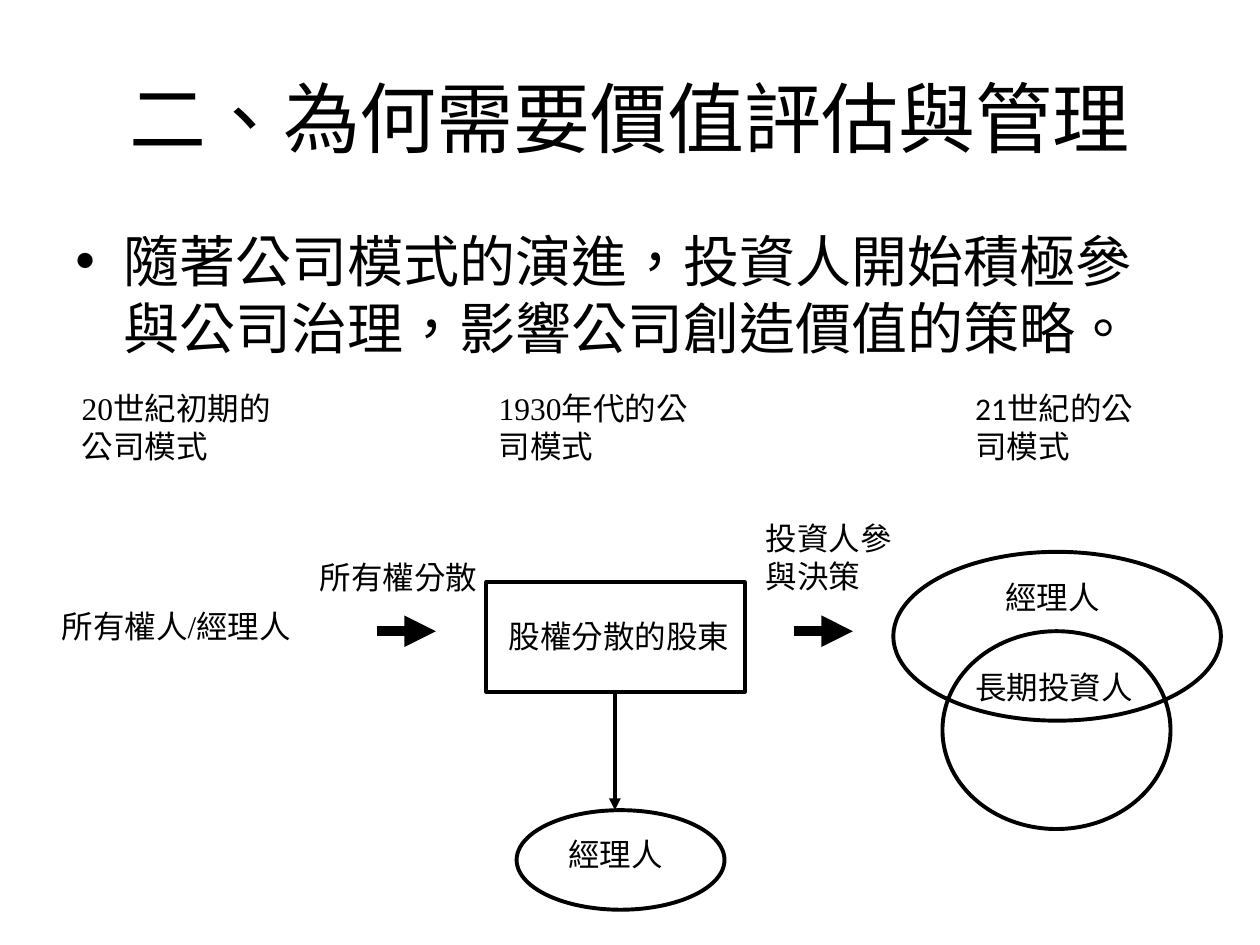
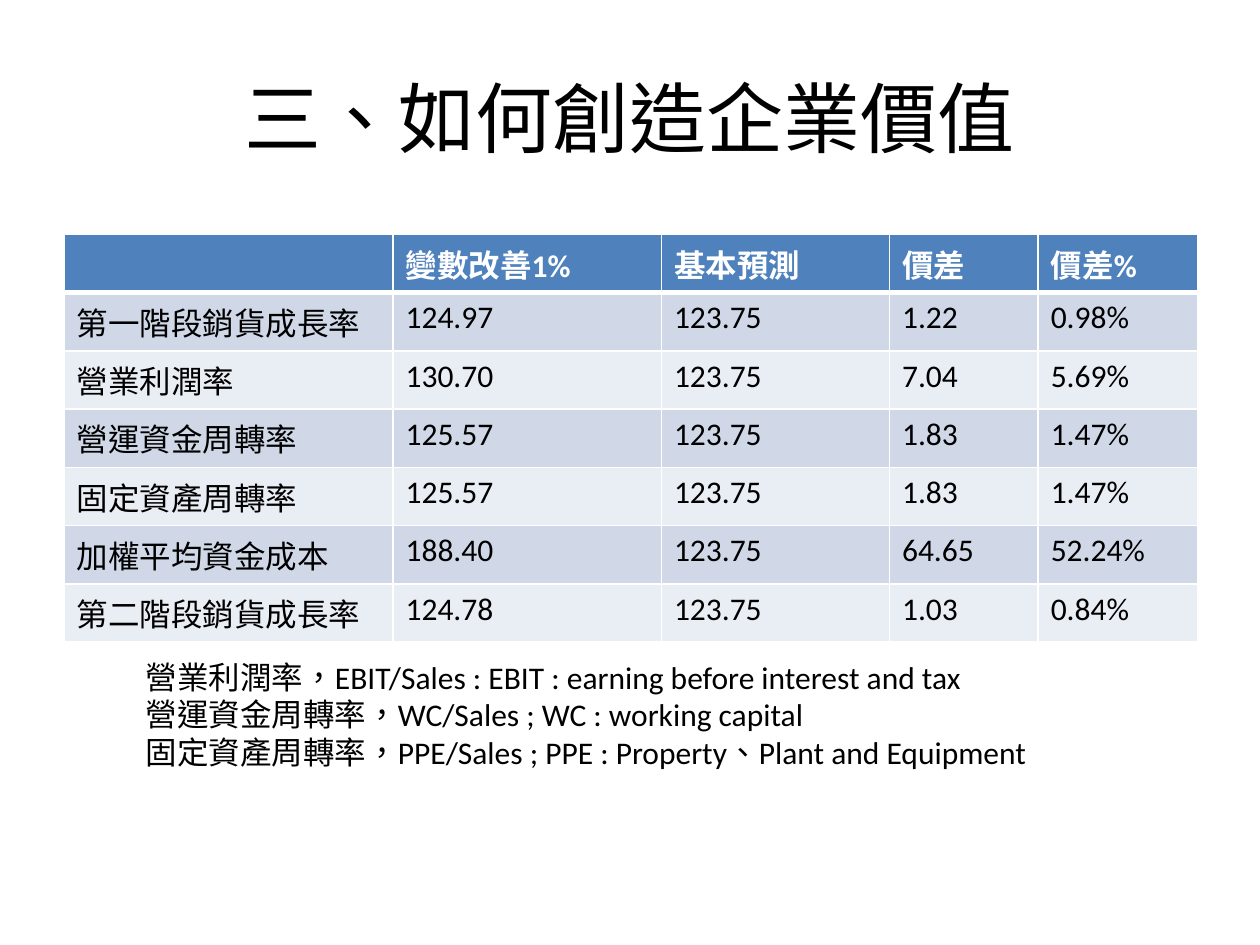
from dataclasses import dataclass
from lxml.etree import SubElement as Sub
from pptx import Presentation as Deck
from pptx.dml.color import RGBColor as Rgb
from pptx.enum.shapes import MSO_CONNECTOR as Link, MSO_SHAPE as Form
from pptx.enum.text import MSO_ANCHOR as Anchor, MSO_AUTO_SIZE as Fit, PP_ALIGN as Align
from pptx.oxml.ns import qn
from pptx.util import Inches, Pt


@dataclass(frozen=True)
class Theme:
    ink: str = "000000"
    paper: str = "FFFFFF"
    head: str = "4F81BD"
    bands: tuple = ("D0D8E8", "E9EDF4")
    sans: str = "Calibri"
    serif: str = "Times New Roman"
    title: int = 44
    body: int = 32
    text: int = 18
    thin: float = 2.25
    thick: float = 6


LOOK = Theme()
ROWS = [
    ["", "變數改善1%", "基本預測", "價差", "價差%"],
    ["第一階段銷貨成長率", "124.97", "123.75", "1.22", "0.98%"],
    ["營業利潤率", "130.70", "123.75", "7.04", "5.69%"],
    ["營運資金周轉率", "125.57", "123.75", "1.83", "1.47%"],
    ["固定資產周轉率", "125.57", "123.75", "1.83", "1.47%"],
    ["加權平均資金成本", "188.40", "123.75", "64.65", "52.24%"],
    ["第二階段銷貨成長率", "124.78", "123.75", "1.03", "0.84%"],
]
NOTES = [
    "營業利潤率，EBIT/Sales : EBIT : earning before interest and tax",
    "營運資金周轉率，WC/Sales ; WC : working capital",
    "固定資產周轉率，PPE/Sales ; PPE : Property、Plant and Equipment",
]


def tint(name):
    return Rgb.from_string(name)


def style(frame, size, face, color=LOOK.ink, bold=False):
    for para in frame.paragraphs:
        for run in para.runs:
            run._r.get_or_add_rPr().set("lang", "zh-TW")
            font = run.font
            font.size, font.name, font.bold = Pt(size), face, bold
            font.color.rgb = tint(color)


def add_text(slide, spot, words, face=LOOK.serif, size=LOOK.text, fit=Fit.SHAPE_TO_FIT_TEXT):
    frame = slide.shapes.add_textbox(*map(Inches, spot)).text_frame
    frame.word_wrap = True
    frame.auto_size = fit
    frame.text = words
    style(frame, size, face)
    return frame


def add_title(slide, words):
    frame = add_text(slide, (0.5, 0.3, 9, 1.25), words, LOOK.sans, LOOK.title, Fit.NONE)
    frame.vertical_anchor = Anchor.MIDDLE
    frame.paragraphs[0].alignment = Align.CENTER


def add_point(slide, words):
    frame = add_text(slide, (0.5, 1.75, 9, 4.95), words, LOOK.sans, LOOK.body, Fit.NONE)
    props = frame.paragraphs[0]._p.get_or_add_pPr()
    dent = Inches(0.38)
    props.set("marL", str(dent))
    props.set("indent", str(-dent))
    Sub(props, qn("a:buFont"), typeface="Arial")
    Sub(props, qn("a:buChar"), char="•")


def add_frame(slide, form, spot):
    shape = slide.shapes.add_shape(form, *map(Inches, spot))
    shape.shadow.inherit = False
    shape.fill.background()
    shape.line.color.rgb = tint(LOOK.ink)
    shape.line.width = Pt(LOOK.thin)


def add_arrow(slide, start, end, width):
    link = slide.shapes.add_connector(Link.STRAIGHT, *map(Inches, start + end))
    link.line.color.rgb = tint(LOOK.ink)
    link.line.width = Pt(width)
    Sub(link.line._get_or_add_ln(), qn("a:tailEnd"), type="triangle")
    Sub(link._element.spPr, qn("a:effectLst"))


def add_edge(cell, side, width):
    edge = Sub(cell._tc.get_or_add_tcPr(), qn("a:" + side), w=str(Pt(width)))
    Sub(Sub(edge, qn("a:solidFill")), qn("a:srgbClr"), val=LOOK.paper)


def add_grid(slide, rows, spot, wides, high):
    shape = slide.shapes.add_table(
        len(rows), len(wides), *map(Inches, spot + (sum(wides), high * len(rows))))
    grid = shape.table
    for col, wide in zip(grid.columns, wides):
        col.width = Inches(wide)
    for r, row in enumerate(rows):
        top = r == 0
        grid.rows[r].height = Inches(high)
        for c, words in enumerate(row):
            cell = grid.cell(r, c)
            cell.text_frame.text = words
            style(cell.text_frame, LOOK.text, LOOK.sans,
                  LOOK.paper if top else LOOK.ink, top)
            for side in ("lnL", "lnR", "lnT", "lnB"):
                heavy = (r, side) in ((0, "lnB"), (1, "lnT"))
                add_edge(cell, side, 3 if heavy else 1)
            cell.fill.solid()
            cell.fill.fore_color.rgb = tint(LOOK.head if top else LOOK.bands[(r - 1) % 2])


def draw_why(slide):
    add_title(slide, "二、為何需要價值評估與管理")
    add_point(slide, "隨著公司模式的演進，投資人開始積極參與公司治理，影響公司創造價值的策略。")
    for left, wide, words, face in (
            (0.55, 1.73, "20世紀初期的公司模式", LOOK.serif),
            (3.86, 1.73, "1930年代的公司模式", LOOK.serif),
            (7.64, 1.58, "21世紀的公司模式", LOOK.sans)):
        add_text(slide, (left, 3.04, wide, 0.7), words, face)
    add_frame(slide, Form.RECTANGLE, (3.86, 4.62, 2.05, 0.87))
    for spot in ((4.1, 6.43, 1.65, 0.79), (7.09, 4.38, 2.6, 1.34), (7.48, 5.01, 1.81, 1.57)):
        add_frame(slide, Form.OVAL, spot)
    for left in (2.99, 6.3):
        add_arrow(slide, (left, 5.01), (left + 0.47, 5.01), LOOK.thick)
    add_arrow(slide, (4.88, 5.48), (4.88, 6.43), LOOK.thin)
    for spot, words in (
            ((0.39, 4.77, 2.2, 0.4), "所有權人/經理人"),
            ((2.44, 4.38, 1.65, 0.4), "所有權分散"),
            ((3.94, 4.85, 1.97, 0.4), "股權分散的股東"),
            ((4.41, 6.58, 1.65, 0.4), "經理人"),
            ((5.98, 4.07, 1.26, 0.7), "投資人參與決策"),
            ((7.88, 4.54, 1.42, 0.4), "經理人"),
            ((7.64, 5.25, 1.65, 0.4), "長期投資人")):
        add_text(slide, spot, words)


def draw_how(slide):
    add_title(slide, "三、如何創造企業價值")
    add_grid(slide, ROWS, (0.51, 1.86), (2.61, 2.13, 1.81, 1.18, 1.27), 0.41)
    add_text(slide, (1.06, 5.17, 7.4, 1.31), "\n".join(NOTES), LOOK.sans)


def main():
    deck = Deck()
    deck.slide_width, deck.slide_height = Inches(10), Inches(7.5)
    for draw in (draw_why, draw_how):
        draw(deck.slides.add_slide(deck.slide_layouts[6]))
    deck.save("out.pptx")


if __name__ == "__main__":
    main()
